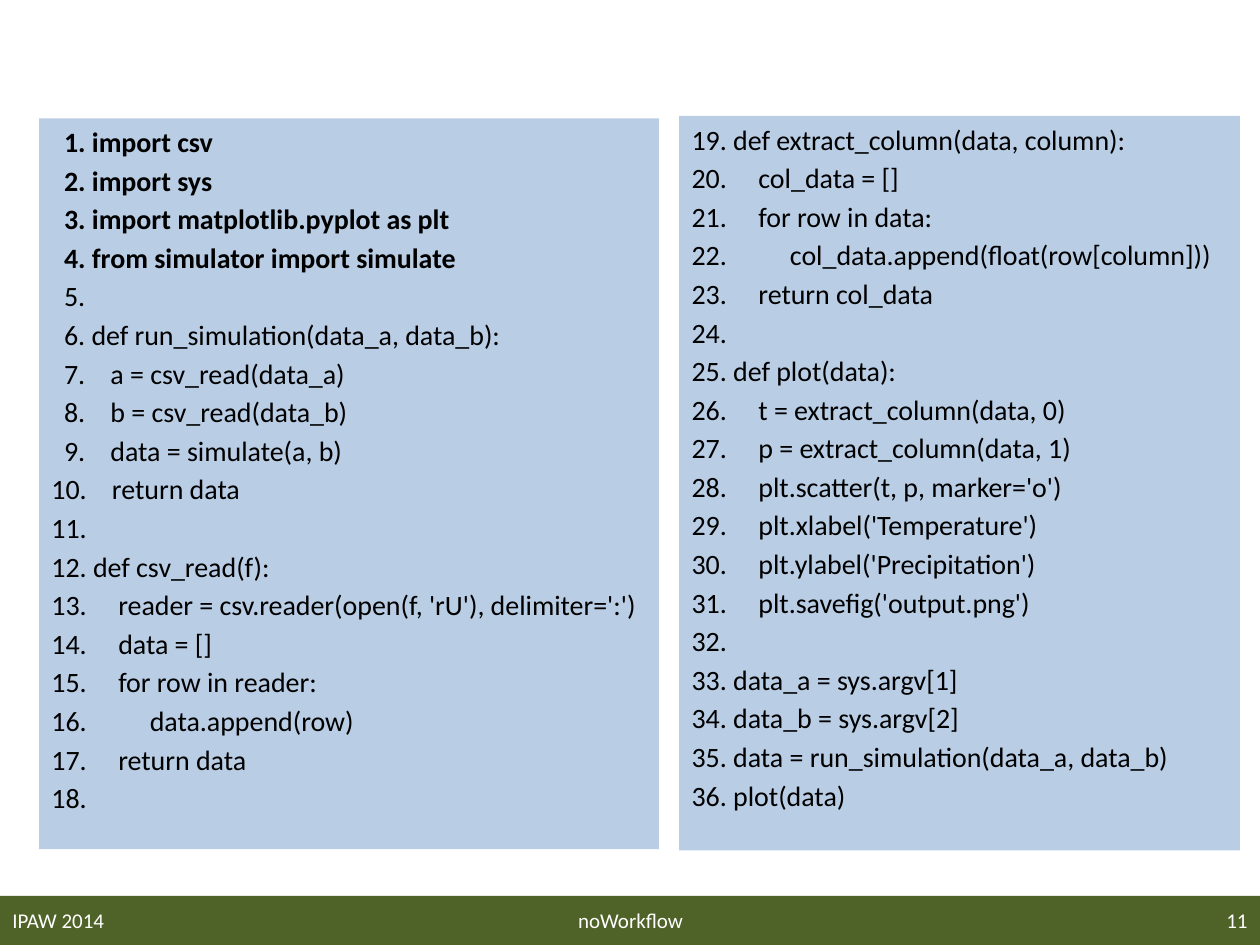
from dataclasses import dataclass

from pptx import Presentation
from pptx.dml.color import RGBColor as Rgb
from pptx.enum.shapes import MSO_SHAPE as Shape
from pptx.enum.text import MSO_ANCHOR as Anchor, PP_ALIGN as Align
from pptx.util import Inches, Pt


@dataclass(frozen=True)
class Theme:
    font: str = "Calibri"
    panel: Rgb = Rgb(0xB9, 0xCD, 0xE5)
    bar: Rgb = Rgb(0x4F, 0x62, 0x28)
    ink: Rgb = Rgb(0, 0, 0)
    light: Rgb = Rgb(0xFF, 0xFF, 0xFF)
    code: float = 16
    foot: float = 12
    gap: float = 2.85


LEFT = """\
import csv
import sys
import matplotlib.pyplot as plt
from simulator import simulate

def run_simulation(data_a, data_b):
   a = csv_read(data_a)
   b = csv_read(data_b)
   data = simulate(a, b)
   return data

def csv_read(f):
    reader = csv.reader(open(f, 'rU'), delimiter=':')
    data = []
    for row in reader:
         data.append(row)
    return data
""".split("\n")

RIGHT = """\
def extract_column(data, column):
    col_data = []
    for row in data:
         col_data.append(float(row[column]))
    return col_data

def plot(data):
    t = extract_column(data, 0)
    p = extract_column(data, 1)
    plt.scatter(t, p, marker='o')
    plt.xlabel('Temperature')
    plt.ylabel('Precipitation')
    plt.savefig('output.png')

data_a = sys.argv[1]
data_b = sys.argv[2]
data = run_simulation(data_a, data_b)
plot(data)""".split("\n")


class Deck:
    def __init__(self, theme):
        self.theme = theme
        self.prs = Presentation()
        self.prs.slide_width, self.prs.slide_height = Inches(10), Inches(7.5)
        self.slide = self.prs.slides.add_slide(self.prs.slide_layouts[6])

    def rect(self, box, fill):
        shape = self.slide.shapes.add_shape(Shape.RECTANGLE, *map(Inches, box))
        shape.shadow.inherit = False
        shape.fill.solid()
        shape.fill.fore_color.rgb = fill
        shape.line.fill.background()
        return shape

    def run(self, par, text, size, color, bold=False):
        run = par.add_run()
        run.text = text
        font = run.font
        font.name, font.size, font.bold = self.theme.font, Pt(size), bold
        font.color.rgb = color

    def code(self, box, lines, start, strong=0):
        """Panel of lines numbered from start, the first few in bold."""
        frame = self.rect(box, self.theme.panel).text_frame
        frame.word_wrap = True
        frame.vertical_anchor = Anchor.TOP
        for i, line in enumerate(lines):
            par = frame.add_paragraph() if i else frame.paragraphs[0]
            par.alignment = Align.LEFT
            if i:
                par.space_before = Pt(self.theme.gap)
            num = start + i
            pad = "  " if num < 10 else ""
            text = f"{pad}{num}. {line}".rstrip()
            self.run(par, text, self.theme.code, self.theme.ink, i < strong)

    def foot(self, left, width, text, align):
        box = self.slide.shapes.add_textbox(
            Inches(left), Inches(7.1), Inches(width), Inches(0.4))
        frame = box.text_frame
        frame.word_wrap = True
        frame.vertical_anchor = Anchor.MIDDLE
        par = frame.paragraphs[0]
        par.alignment = align
        self.run(par, text, self.theme.foot, self.theme.light)


def main():
    theme = Theme()
    deck = Deck(theme)
    deck.rect((0, 7.11, 10, 0.39), theme.bar)
    deck.code((0.31, 0.94, 4.92, 5.8), LEFT, 1, strong=4)
    deck.foot(0, 2.33, "IPAW 2014", Align.LEFT)
    deck.foot(3.42, 3.17, "noWorkflow", Align.CENTER)
    deck.foot(7.67, 2.33, "11", Align.RIGHT)
    deck.code((5.39, 0.92, 4.45, 5.83), RIGHT, len(LEFT) + 1)
    deck.prs.save("out.pptx")


if __name__ == "__main__":
    main()
